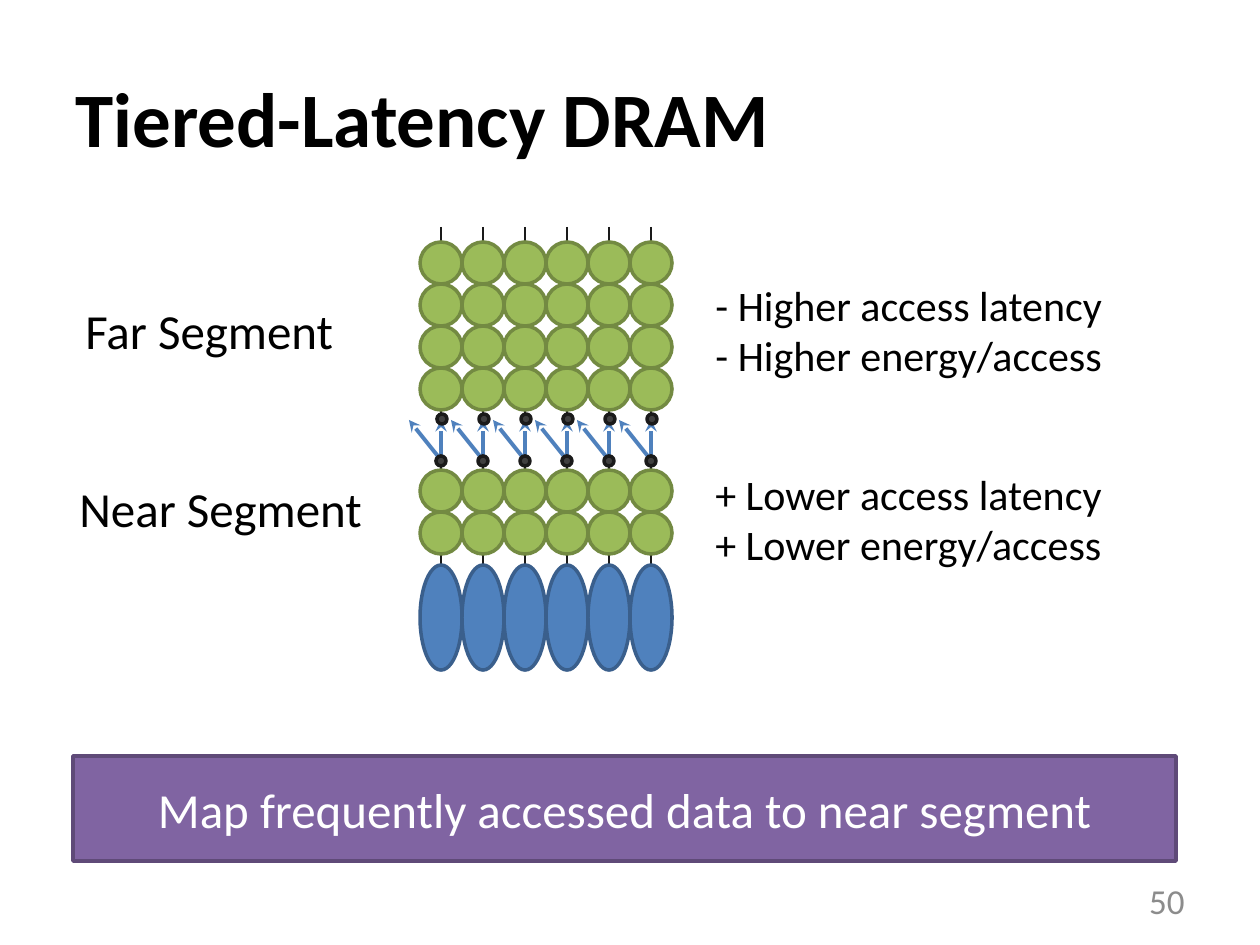
from pptx import Presentation
from pptx.dml.color import RGBColor
from pptx.enum.shapes import MSO_CONNECTOR as Conn, MSO_SHAPE as Kind
from pptx.enum.text import MSO_ANCHOR as Anchor, PP_ALIGN as Align
from pptx.oxml.ns import qn
from pptx.util import Pt
from lxml.etree import SubElement

PX = 914400 / 126
BLACK = RGBColor(0, 0, 0)
WHITE = RGBColor(255, 255, 255)
INK = RGBColor(0x1A, 0x1A, 0x1A)
DARK = RGBColor(0x40, 0x40, 0x40)
GRAY = RGBColor(0x8C, 0x8C, 0x8C)
GREEN = RGBColor(0x9B, 0xBB, 0x59)
MOSS = RGBColor(0x73, 0x8A, 0x42)
BLUE = RGBColor(0x4F, 0x81, 0xBD)
NAVY = RGBColor(0x3A, 0x5F, 0x8C)
PURPLE = RGBColor(0x80, 0x64, 0xA2)
PLUM = RGBColor(0x5F, 0x4A, 0x78)

deck = Presentation()
deck.slide_width = round(1260 * PX)
deck.slide_height = round(945 * PX)
slide = deck.slides.add_slide(deck.slide_layouts[5])
shapes = slide.shapes


def add_form(kind, x, y, w, h, fill, edge):
    form = shapes.add_shape(kind, *(round(n * PX) for n in (x, y, w, h)))
    form.shadow.inherit = False
    form.fill.solid()
    form.fill.fore_color.rgb = fill
    form.line.color.rgb = edge
    form.line.width = Pt(2)
    return form


def add_line(x1, y1, x2, y2, color, width, arrow=False):
    line = shapes.add_connector(Conn.STRAIGHT, *(round(n * PX) for n in (x1, y1, x2, y2)))
    line.line.color.rgb = color
    line.line.width = Pt(width)
    if arrow:
        SubElement(line.line._get_or_add_ln(), qn("a:tailEnd"), type="stealth")
    SubElement(line._element.spPr, qn("a:effectLst"))


title = shapes.title
title.left, title.top, title.width, title.height = (round(n * PX) for n in (63, 38, 1134, 157))
title.text_frame.text = "Tiered-Latency DRAM"
title.text_frame.vertical_anchor = Anchor.MIDDLE
head = title.text_frame.paragraphs[0]
head.alignment = Align.LEFT
head.font.name = "Calibri"
head.font.size = Pt(44)
head.font.bold = True
head.font.color.rgb = BLACK

mids = [441 + 42 * col for col in range(6)]

for mid in mids:
    add_line(mid, 460, mid - 32, 420, BLUE, 2.25, True)

for mid in mids:
    add_line(mid, 462, mid, 569, INK, 1.5)
    for row in range(2):
        add_form(Kind.OVAL, mid - 21, 470 + 42 * row, 42, 42, GREEN, MOSS)

for mid in mids:
    add_form(Kind.OVAL, mid - 21, 565, 42, 105, BLUE, NAVY)

for mid in mids:
    add_line(mid, 227, mid, 416, INK, 1.5)
    for row in range(4):
        add_form(Kind.OVAL, mid - 21, 242 + 42 * row, 42, 42, GREEN, MOSS)

for mid in mids:
    add_line(mid, 462, mid, 420, BLUE, 2.25, True)

labels = [
    (67, 472, 311, 72, 28, "Near Segment"),
    (73, 294, 276, 72, 28, "Far Segment"),
    (703, 462, 416, 115, 24, "+ Lower access latency\n+ Lower energy/access"),
    (703, 273, 423, 115, 24, "- Higher access latency\n- Higher energy/access"),
]
for x, y, w, h, size, text in labels:
    box = shapes.add_textbox(*(round(n * PX) for n in (x, y, w, h)))
    box.text_frame.text = text
    for para in box.text_frame.paragraphs:
        para.font.name = "Calibri"
        para.font.size = Pt(size)
        para.font.color.rgb = BLACK

bar = add_form(Kind.RECTANGLE, 73, 756, 1103, 105, PURPLE, PLUM)
page = shapes.add_textbox(*(round(n * PX) for n in (903, 876, 294, 50)))
notes = [
    (bar, "Map frequently accessed data to near segment", Align.CENTER, 28, WHITE),
    (page, "50", Align.RIGHT, 20, GRAY),
]
for box, text, side, size, color in notes:
    frame = box.text_frame
    frame.word_wrap = True
    frame.vertical_anchor = Anchor.MIDDLE
    frame.text = text
    para = frame.paragraphs[0]
    para.alignment = side
    para.font.name = "Calibri"
    para.font.size = Pt(size)
    para.font.color.rgb = color

for mid in mids:
    add_form(Kind.OVAL, mid - 5, 456, 10, 10, DARK, INK)
    add_form(Kind.OVAL, mid - 4, 414, 10, 10, DARK, INK)

deck.save("out.pptx")
